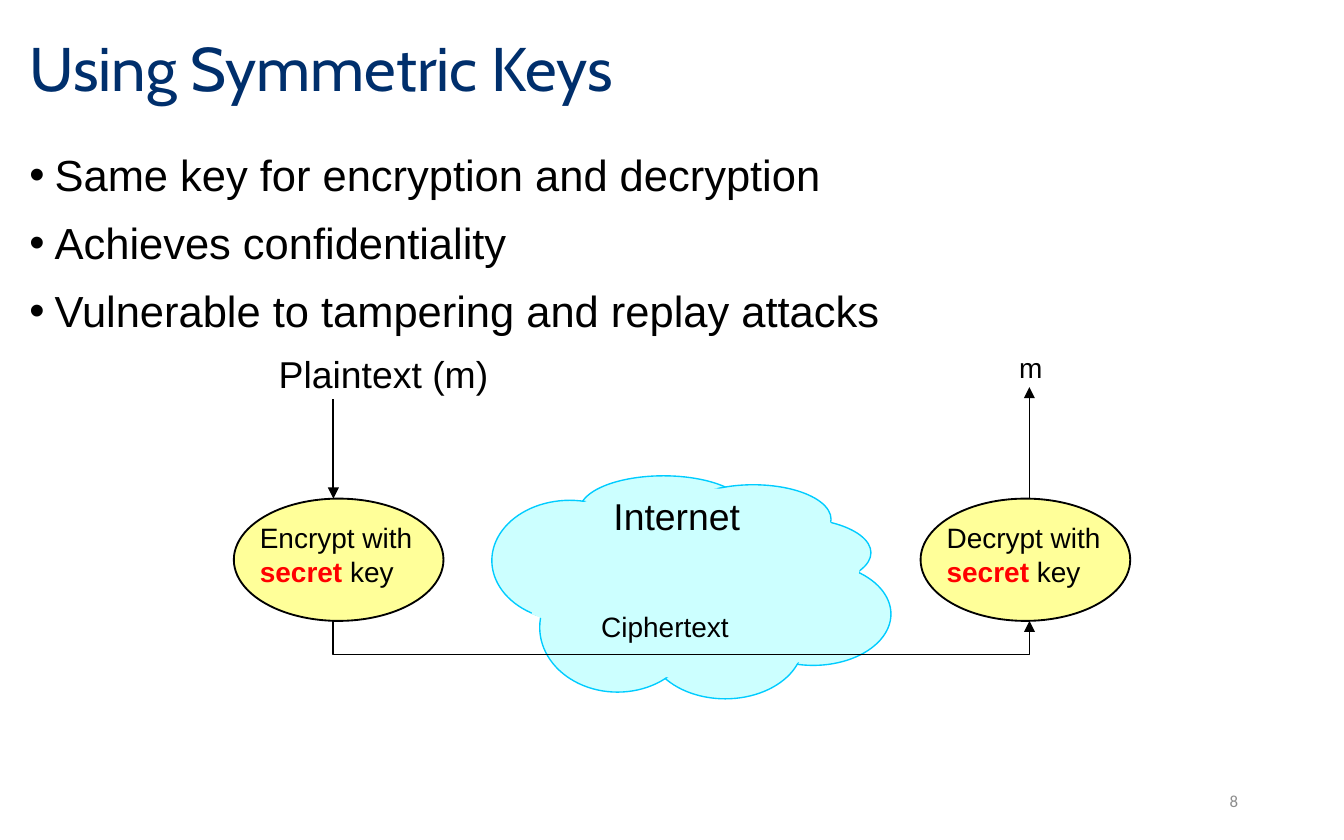
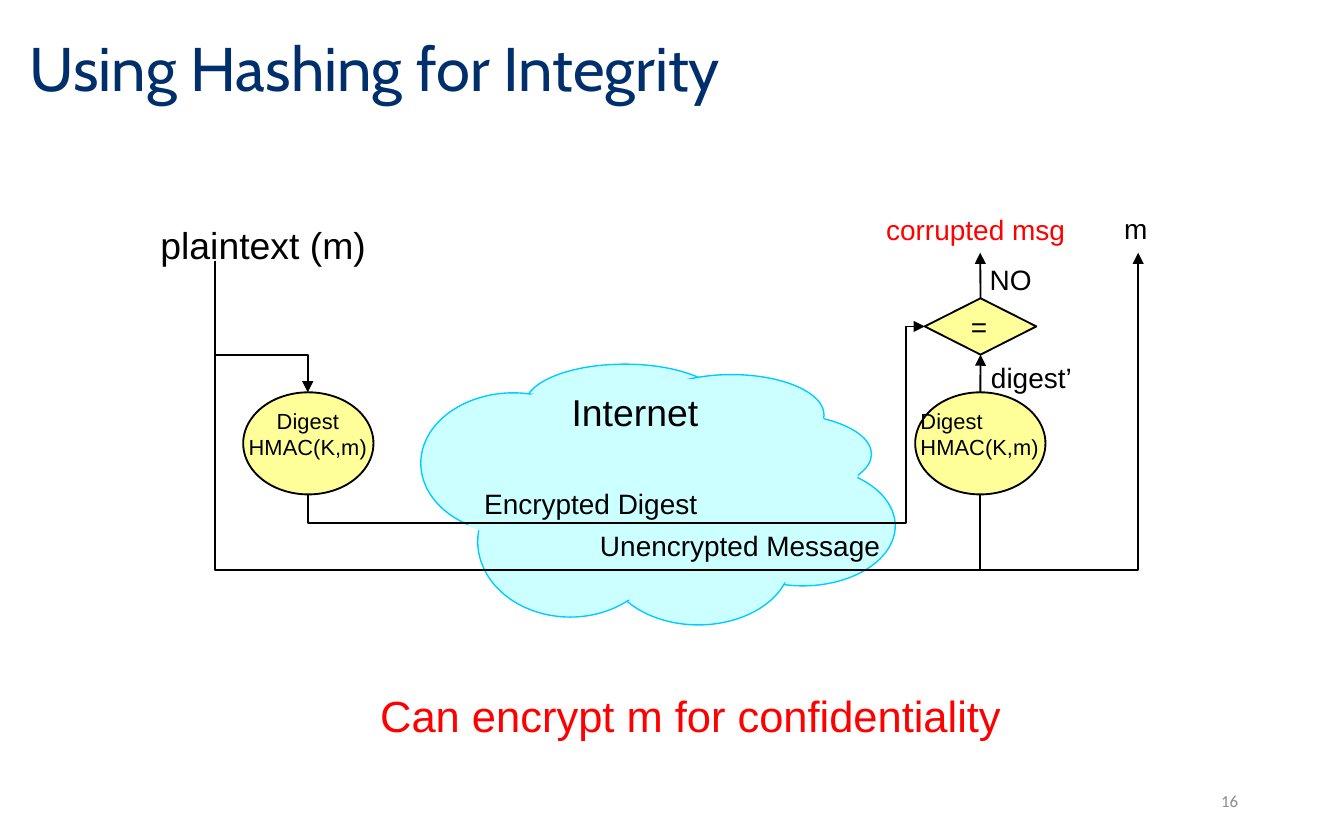
from lxml.etree import SubElement
from pptx import Presentation
from pptx.dml.color import RGBColor
from pptx.enum.shapes import MSO_CONNECTOR as Connector, MSO_SHAPE as Preset
from pptx.enum.text import MSO_ANCHOR as Anchor, MSO_AUTO_SIZE as AutoSize, PP_ALIGN as Align
from pptx.oxml.ns import qn
from pptx.util import Pt

COLORS = {
    "title": "002F6C",
    "ink": "000000",
    "alert": "FF0000",
    "step": "FFFF99",
    "cloud": "CCFFFF",
    "cloud_edge": "00CCFF",
    "number": "8C8C8C",
}
TEXT_FONT = "Arial"
BIG, MEDIUM, SMALL, TINY = 23.3, 20, 15, 11.7

# Cloud parts as fractions of the cloud's width and height
CLOUD_LOBES = [
    (0.22, 0, 0.42, 0.31), (0.46, 0.04, 0.39, 0.31), (0.56, 0.19, 0.39, 0.31),
    (0.61, 0.39, 0.39, 0.46), (0.39, 0.5, 0.39, 0.5), (0.12, 0.39, 0.39, 0.58),
    (0, 0.11, 0.39, 0.54),
]
CLOUD_CORE = [
    (0.12, 0.19), (0.29, 0.08), (0.44, 0.04), (0.73, 0.08), (0.83, 0.15), (0.88, 0.31),
    (0.93, 0.35), (0.88, 0.77), (0.56, 0.96), (0.24, 0.81), (0.14, 0.65), (0.1, 0.62),
]


def rgb(color):
    return RGBColor.from_string(COLORS[color])


def points(*lengths):
    return [Pt(length) for length in lengths]


def add_run(paragraph, text, size, color="ink", font=TEXT_FONT, bold=False):
    run = paragraph.add_run()
    run.text = text
    run.font.size = Pt(size)
    run.font.name = font
    run.font.bold = bold
    run.font.color.rgb = rgb(color)


def set_line(shape, color="ink", width=1):
    shape.line.color.rgb = rgb(color)
    shape.line.width = Pt(width)


def add_arrowhead(shape):
    outline = shape.element.spPr.find(qn("a:ln"))
    SubElement(outline, qn("a:tailEnd"), type="triangle")


def place(placeholder, left, top, width, height):
    placeholder.left, placeholder.top = points(left, top)
    placeholder.width, placeholder.height = points(width, height)
    placeholder.text_frame.auto_size = AutoSize.NONE
    return placeholder.text_frame


def add_label(slide, left, top, width, height, lines, size=SMALL, color="ink",
              align=Align.LEFT, inset=(6, 3)):
    """Add a text box; each line is a string or a list of (text, color, bold)."""
    box = slide.shapes.add_textbox(*points(left, top, width, height))
    frame = box.text_frame
    frame.auto_size = AutoSize.NONE
    frame.word_wrap = align == Align.RIGHT
    frame.margin_left = frame.margin_right = Pt(inset[0])
    frame.margin_top = frame.margin_bottom = Pt(inset[1])
    for index, line in enumerate(lines):
        paragraph = frame.add_paragraph() if index else frame.paragraphs[0]
        paragraph.alignment = align
        for text, run_color, bold in [(line, color, False)] if isinstance(line, str) else line:
            add_run(paragraph, text, size, run_color, bold=bold)


def add_preset(slide, preset, left, top, width, height, fill="step", edge="ink", edge_width=1):
    shape = slide.shapes.add_shape(preset, *points(left, top, width, height))
    shape.shadow.inherit = False
    shape.fill.solid()
    shape.fill.fore_color.rgb = rgb(fill)
    set_line(shape, edge, edge_width)
    return shape


def add_outline(slide, corners, close=False):
    start, *rest = [tuple(points(x, y)) for x, y in corners]
    builder = slide.shapes.build_freeform(*start)
    builder.add_line_segments(rest, close=close)
    shape = builder.convert_to_shape()
    shape.shadow.inherit = False
    return shape


def add_route(slide, *corners):
    route = add_outline(slide, corners)
    route.fill.background()
    set_line(route)
    add_arrowhead(route)


def add_arrow(slide, x, start_y, end_y, source=None, target=None):
    """Vertical arrow, joined to the top of source and the bottom of target."""
    arrow = slide.shapes.add_connector(Connector.STRAIGHT, *points(x, start_y, x, end_y))
    if source:
        arrow.begin_connect(source, 0)
    if target:
        arrow.end_connect(target, 2)
    set_line(arrow)
    add_arrowhead(arrow)
    SubElement(arrow.element.spPr, qn("a:effectLst"))


def add_cloud(slide, left, top, width, height):
    for x, y, w, h in CLOUD_LOBES:
        add_preset(slide, Preset.OVAL, left + x * width, top + y * height,
                   w * width, h * height, "cloud", "cloud_edge", 0.75)
    core = add_outline(slide, [(left + x * width, top + y * height) for x, y in CLOUD_CORE], True)
    core.fill.solid()
    core.fill.fore_color.rgb = rgb("cloud")
    core.line.fill.background()


def add_key_step(slide, left, action):
    add_preset(slide, Preset.OVAL, left, 267.1, 112.3, 65.5)
    add_label(slide, left + 7.9, 275.8, 95, 42.5,
              [f"{action} with", [("secret", "alert", True), (" key", "ink", False)]])


def add_digest_step(slide, left, align):
    step = add_preset(slide, Preset.OVAL, left, 210.2, 69.8, 54.7)
    add_label(slide, left - 3.2, 215.3, 75.6, 33.8, ["Digest", "HMAC(K,m)"], TINY, align=align)
    return step


def add_bullets(slide, items):
    frame = place(slide.placeholders[1], 8.6, 75.6, 703.4, 329.8)
    for index, item in enumerate(items):
        paragraph = frame.add_paragraph() if index else frame.paragraphs[0]
        properties = paragraph._p.get_or_add_pPr()
        properties.set("marL", str(Pt(13.5)))
        properties.set("indent", str(-Pt(13.5)))
        SubElement(properties, qn("a:buChar"), char="•")
        paragraph.space_before = Pt(8.5 if index else 0)
        add_run(paragraph, item, BIG)


def new_slide(deck, layout, title, number):
    slide = deck.slides.add_slide(deck.slide_layouts.get_by_name(layout))
    frame = place(slide.shapes.title, 8.6, 7.2, 613.4, 61.9)
    frame.vertical_anchor = Anchor.MIDDLE
    heading = frame.paragraphs[0]
    heading.alignment = Align.LEFT
    heading.line_spacing = 0.9
    add_run(heading, title, 33, "title", "Cabin")

    # Slide number
    box = slide.shapes.add_textbox(*points(508.3, 416.9, 162, 23.8))
    box.text_frame.word_wrap = True
    box.text_frame.vertical_anchor = Anchor.MIDDLE
    page = box.text_frame.paragraphs[0]
    page.alignment = Align.RIGHT
    add_run(page, str(number), 9, "number", "Calibri")
    return slide


def build_symmetric_keys(deck):
    slide = new_slide(deck, "Title and Content", "Using Symmetric Keys", 8)
    add_bullets(slide, [
        "Same key for encryption and decryption",
        "Achieves confidentiality",
        "Vulnerable to tampering and replay attacks",
    ])
    sender_x, receiver_x = 178.6, 551.5
    step_top, step_bottom, wire_y = 267.1, 332.6, 350.6

    # Network and both ends
    add_cloud(slide, 263.5, 254.9, 213.8, 119.5)
    add_label(slide, 322.6, 261.4, 79.9, 30.2, ["Internet"], MEDIUM)
    add_key_step(slide, 125.3, "Encrypt")
    add_key_step(slide, 493.2, "Decrypt")
    add_label(slide, 143.3, 185, 125.3, 30.2, ["Plaintext (m)"], MEDIUM)
    add_label(slide, 514.8, 185, 49.7, 23.8, ["m"], align=Align.RIGHT)

    # Message flow
    add_arrow(slide, sender_x, 213.8, step_top)
    add_route(slide, (sender_x, step_bottom), (sender_x, wire_y),
              (receiver_x, wire_y), (receiver_x, step_bottom))
    add_arrow(slide, receiver_x, step_top, 207.4)
    add_label(slide, 316.1, 323.3, 81.4, 23.8, ["Ciphertext"])


def build_hashing(deck):
    slide = new_slide(deck, "Title Only", "Using Hashing for Integrity", 16)
    plain_x, digest_x, check_x, output_x = 115.2, 164.9, 525.1, 609.8
    branch_y, digest_y, message_y, result_y = 190.1, 280.1, 305.3, 135.4

    # Network and sender
    add_cloud(slide, 225.4, 195.1, 254.2, 139.7)
    add_label(slide, 300.2, 205.2, 80.6, 30.2, ["Internet"], MEDIUM)
    add_digest_step(slide, 130.3, Align.CENTER)
    add_label(slide, 79.9, 115.9, 123.1, 30.2, ["plaintext (m)"], MEDIUM)

    # Message route, then the receiver's check over it
    add_route(slide, (plain_x, 139.7), (plain_x, message_y),
              (check_x, message_y), (check_x, 257.8))
    receiver_digest = add_digest_step(slide, 490.3, Align.LEFT)
    check = add_preset(slide, Preset.DIAMOND, 495.4, 159.8, 59.8, 30.2)
    add_label(slide, 514.1, 162.7, 20.9, 23.8, ["="])
    add_arrow(slide, check_x, 210.2, branch_y, receiver_digest, check)
    add_arrow(slide, check_x, 159.8, result_y, check)

    # Digest and output routes
    add_route(slide, (plain_x, branch_y), (digest_x, branch_y), (digest_x, 210.2))
    add_route(slide, (digest_x, 264.9), (digest_x, digest_y), (485.3, digest_y),
              (485.3, 174.9), (495.4, 174.9))
    add_route(slide, (check_x, message_y), (output_x, message_y), (output_x, result_y))

    # Route labels
    add_label(slide, 253.4, 257.8, 127.4, 23.8, ["Encrypted Digest"])
    add_label(slide, 315.4, 280.1, 164.2, 23.8, ["Unencrypted Message"])
    add_label(slide, 524.9, 190.1, 59.8, 23.8, ["digest’"])
    add_label(slide, 524.2, 137.5, 34.6, 23.8, ["NO"])
    add_label(slide, 468.7, 110.9, 108.7, 23.8, ["corrupted msg"], color="alert")
    add_label(slide, 575.3, 110.2, 45.4, 23.8, ["m"], align=Align.RIGHT)
    add_label(slide, 196.6, 365.8, 351.4, 35.3, ["Can encrypt m for confidentiality"],
              BIG, "alert", inset=(7.2, 3.6))


def main():
    deck = Presentation()
    deck.slide_width, deck.slide_height = points(720, 450)
    build_symmetric_keys(deck)
    build_hashing(deck)
    deck.save("out.pptx")


if __name__ == "__main__":
    main()
